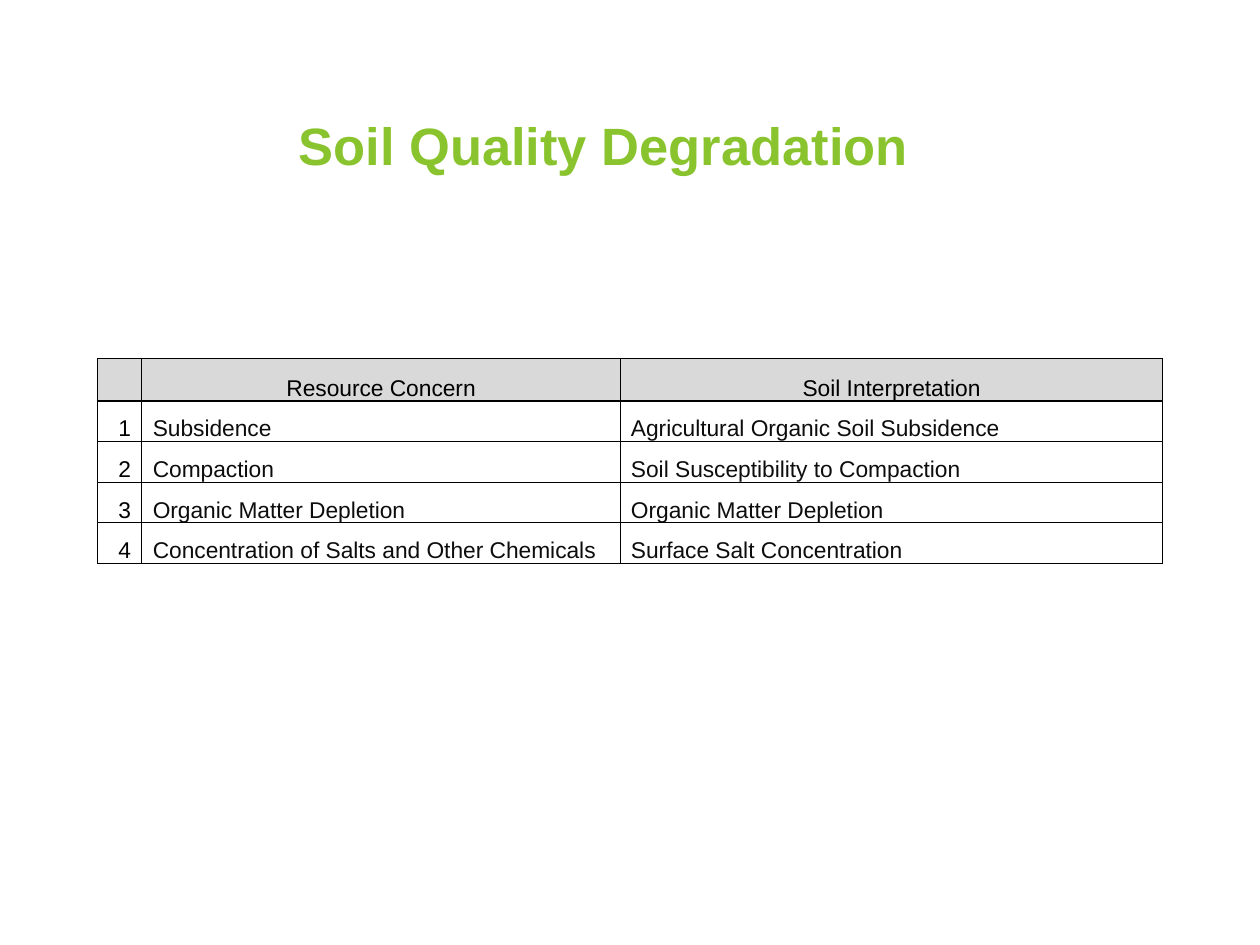
from dataclasses import dataclass

from lxml import etree
from pptx import Presentation
from pptx import util as u
from pptx.dml.color import RGBColor
from pptx.enum import text
from pptx.oxml.ns import qn


@dataclass(frozen=True)
class Theme:
    font: str = "Arial"
    title_size: float = 30
    table_size: float = 13
    title: str = "89C32D"
    strong: str = "000000"
    body: str = "0D0D0D"
    header_fill: str = "D9D9D9"
    thin: float = 0.5
    thick: float = 1


class SlideBuilder:
    def __init__(self, slide, theme):
        self.slide = slide
        self.theme = theme

    def set_words(self, paragraph, words, size, color, align, bold=False):
        paragraph.text = words
        paragraph.alignment = align
        for run in paragraph.runs:
            run.font.name = self.theme.font
            run.font.size = u.Pt(size)
            run.font.bold = bold
            run.font.color.rgb = RGBColor.from_string(color)

    def title(self, words, left, top, width, height):
        box = self.slide.shapes.add_textbox(*map(u.Cm, (left, top, width, height)))
        frame = box.text_frame
        frame.word_wrap = True
        frame.vertical_anchor = text.MSO_ANCHOR.MIDDLE
        heading = frame.paragraphs[0]
        heading.line_spacing = 0.9
        self.set_words(heading, words, self.theme.title_size, self.theme.title,
                       text.PP_ALIGN.CENTER, bold=True)

    def border(self, cell, side, width):
        line = etree.SubElement(cell._tc.get_or_add_tcPr(), qn(f"a:ln{side}"),
                                w=str(u.Pt(width)))
        fill = etree.SubElement(line, qn("a:solidFill"))
        etree.SubElement(fill, qn("a:srgbClr"), val=self.theme.strong)

    def cell(self, cell, words, row, column):
        theme, is_header = self.theme, row == 0
        is_number = column == 0 and not is_header
        is_body = column > 0 and not is_header
        cell.vertical_anchor = text.MSO_ANCHOR.BOTTOM
        cell.margin_left = u.Cm(0.22 if is_body else 0.02)
        cell.margin_right = u.Cm(0.22 if is_number else 0.02)
        cell.margin_top, cell.margin_bottom = u.Cm(0.02), 0

        # Borders come before the fill in the cell properties.
        widths = {"L": theme.thin, "R": theme.thin,
                  "T": theme.thick if row == 1 else theme.thin,
                  "B": theme.thick if is_header else theme.thin}
        for side, width in widths.items():
            self.border(cell, side, width)
        if is_header:
            cell.fill.solid()
            cell.fill.fore_color.rgb = RGBColor.from_string(theme.header_fill)
        else:
            cell.fill.background()

        align = (text.PP_ALIGN.CENTER if is_header else
                 text.PP_ALIGN.RIGHT if is_number else text.PP_ALIGN.LEFT)
        self.set_words(cell.text_frame.paragraphs[0], words, theme.table_size,
                       theme.body if is_body else theme.strong, align)

    def table(self, rows, left, top, widths, heights):
        table = self.slide.shapes.add_table(
            len(rows), len(widths),
            *map(u.Cm, (left, top, sum(widths), sum(heights)))).table
        table.first_row = table.horz_banding = False
        for column, width in zip(table.columns, widths):
            column.width = u.Cm(width)
        for r, (row, height) in enumerate(zip(rows, heights)):
            table.rows[r].height = u.Cm(height)
            for c, words in enumerate(row):
                self.cell(table.cell(r, c), words, r, c)


def main():
    concerns = [
        ("Subsidence", "Agricultural Organic Soil Subsidence"),
        ("Compaction", "Soil Susceptibility to Compaction"),
        ("Organic Matter Depletion", "Organic Matter Depletion"),
        ("Concentration of Salts and Other Chemicals", "Surface Salt Concentration"),
    ]
    rows = [("", "Resource Concern", "Soil Interpretation")]
    rows += [(str(n), *concern) for n, concern in enumerate(concerns, 1)]

    deck = Presentation()
    deck.slide_width, deck.slide_height = u.Cm(25.4), u.Cm(19.05)
    builder = SlideBuilder(deck.slides.add_slide(deck.slide_layouts[6]), Theme())
    builder.title("Soil Quality Degradation", 0.74, 2.06, 22.86, 1.85)
    builder.table(rows, 1.96, 7.22, widths=[0.9, 9.64, 10.94],
                  heights=[0.86] + [0.82] * len(concerns))
    deck.save("out.pptx")


if __name__ == "__main__":
    main()
